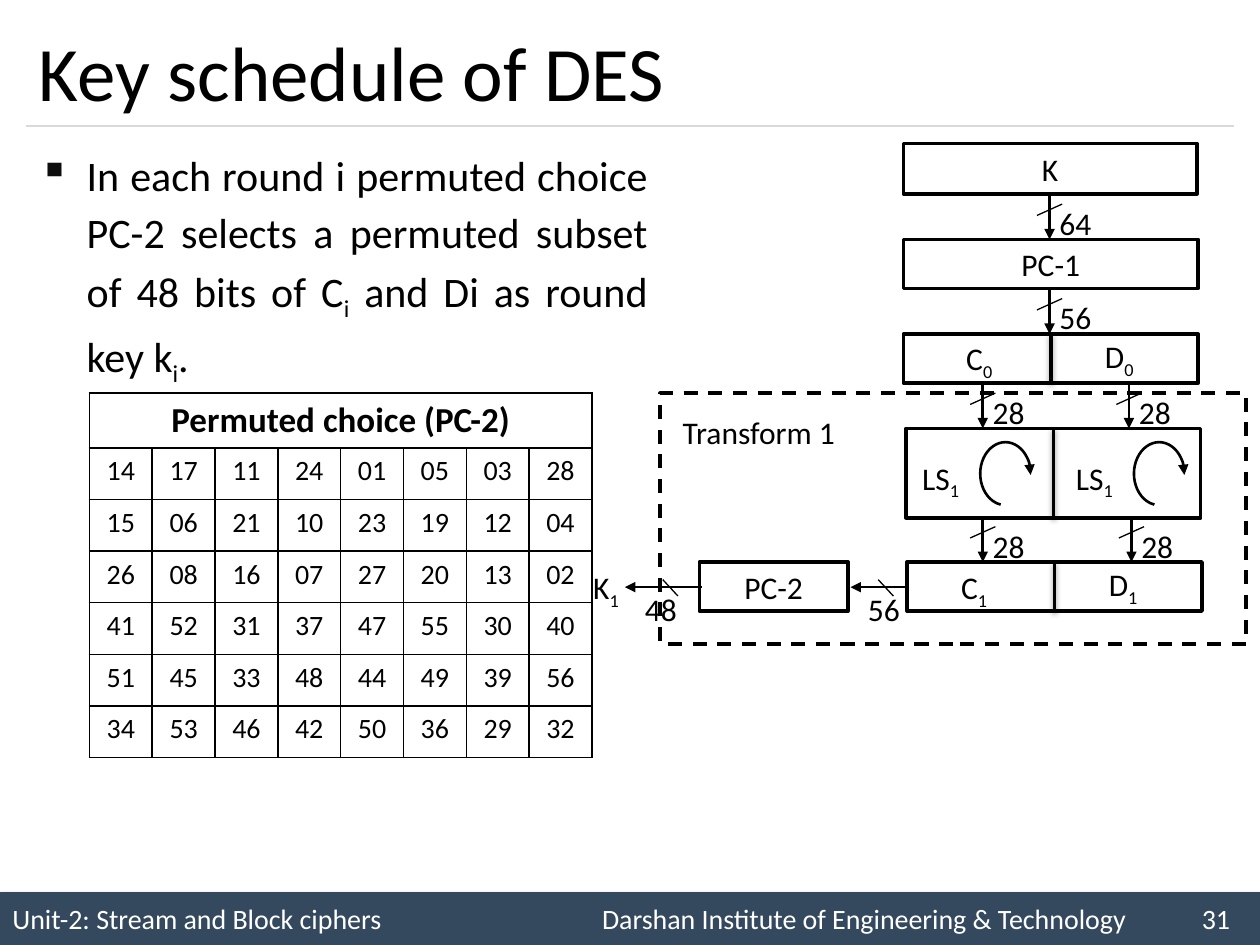
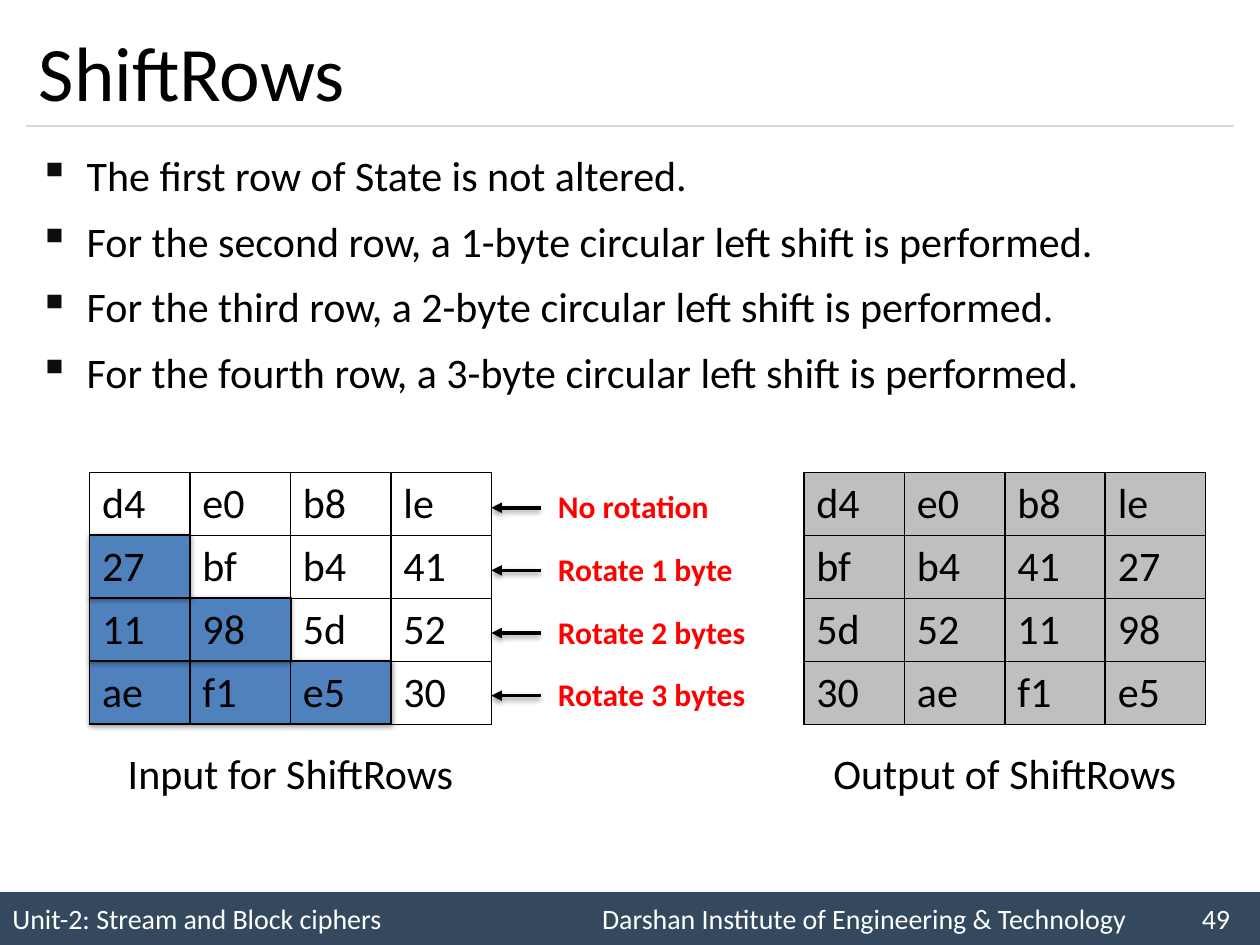
import pptx
import pptx.util
import pptx.dml.color
import pptx.enum.dml
import pptx.enum.shapes
import pptx.enum.text
import pptx.oxml
import pptx.oxml.ns
import lxml.etree

RGBColor = pptx.dml.color.RGBColor
BLACK = RGBColor(0x00, 0x00, 0x00)
WHITE = RGBColor(0xFF, 0xFF, 0xFF)
SLATE = RGBColor(0x34, 0x49, 0x5E)
RULE = RGBColor(0xD9, 0xD9, 0xD9)
BLUE = RGBColor(0x4F, 0x81, 0xBD)
GREY = RGBColor(0xBF, 0xBF, 0xBF)
RED = RGBColor(0xFF, 0x00, 0x00)

Pt = pptx.util.Pt
qn = pptx.oxml.ns.qn
add = lxml.etree.SubElement
ALIGN = pptx.enum.text.PP_ALIGN
MID = {"vertical_anchor": pptx.enum.text.MSO_ANCHOR.MIDDLE}
RECT = pptx.enum.shapes.MSO_SHAPE.RECTANGLE
ARC = pptx.enum.shapes.MSO_SHAPE.ARC
WRAP = {"word_wrap": True}
LEFT = {"alignment": ALIGN.LEFT}
CENTER = {"alignment": ALIGN.CENTER}
BODY = {"alignment": ALIGN.JUSTIFY, "line_spacing": 1.14}
NS = 'xmlns:a="http://schemas.openxmlformats.org/drawingml/2006/main"'
SHADE = (
    f'<a:outerShdw {NS} blurRad="39400" dist="20300" dir="5400000" rotWithShape="0">'
    '<a:srgbClr val="000000"><a:alpha val="38000"/></a:srgbClr></a:outerShdw>'
)

deck = pptx.Presentation()
deck.slide_width = pptx.util.Inches(10)
deck.slide_height = pptx.util.Inches(7.5)
COL = deck.slide_width / 100
ROW = deck.slide_height / 75


def put(sheet, box, text="", kind=None, fill=None, edge=2, ink=BLACK,
        font={}, para=LEFT, frame={}, soft=False):
    left, top, wide, high = box
    place = [round(n) for n in (left * COL, top * ROW, wide * COL, high * ROW)]
    if kind is None:
        shape = sheet.shapes.add_textbox(*place)
    else:
        shape = sheet.shapes.add_shape(kind, *place)
        shape.shadow.inherit = False
        if soft:
            glow = shape.element.spPr.find(qn("a:effectLst"))
            glow.append(pptx.oxml.parse_xml(SHADE))
        if fill is None:
            shape.fill.background()
        else:
            shape.fill.solid()
            shape.fill.fore_color.rgb = fill
        if edge:
            shape.line.color.rgb = BLACK
            shape.line.width = Pt(edge)
        else:
            shape.line.fill.background()
    for key, value in frame.items():
        setattr(shape.text_frame, key, value)
    for nth, words in enumerate(text.split("\n") if text else []):
        block = shape.text_frame.paragraphs[0] if nth == 0 else shape.text_frame.add_paragraph()
        for key, value in para.items():
            setattr(block, key, value)
        first, *rest = words.split("_")
        parts = [(first, 0)]
        for piece in rest:
            parts += [(piece[0], -25000), (piece[1:], 0)]
        for piece, base in parts:
            if piece:
                run = block.add_run()
                run.text = piece
                run.font.color.rgb = ink
                for key, value in {"name": "Calibri", "size": Pt(18), **font}.items():
                    setattr(run.font, key, value)
                if base:
                    run.font._element.set("baseline", str(base))
    return shape


def link(sheet, start, end, width=1.5, tint=BLACK, tip=False, soft=False):
    ends = [round(n) for x, y in (start, end) for n in (x * COL, y * ROW)]
    line = sheet.shapes.add_connector(pptx.enum.shapes.MSO_CONNECTOR.STRAIGHT, *ends)
    line.line.color.rgb = tint
    line.line.width = Pt(width)
    trim = line.element.spPr
    if tip:
        add(trim.find(qn("a:ln")), qn("a:tailEnd"), type="triangle")
    glow = add(trim, qn("a:effectLst"))
    if soft:
        glow.append(pptx.oxml.parse_xml(SHADE))


PAGES = [
    ("Key schedule of DES", 31, 50.3,
     "In each round i permuted choice PC-2 selects a permuted subset of 48 bits of C_i"
     " and Di as round key k_i."),
    ("ShiftRows", 49, 95.8,
     "The first row of State is not altered.\n"
     "For the second row, a 1-byte circular left shift is performed.\n"
     "For the third row, a 2-byte circular left shift is performed.\n"
     "For the fourth row, a 3-byte circular left shift is performed."),
]
sheets = []
for title, page, wide, points in PAGES:
    sheet = deck.slides.add_slide(deck.slide_layouts[6])
    sheets.append(sheet)
    foot = put(sheet, (0, 70.8, 100, 4.2),
               f"Unit-2: Stream and Block ciphers\tDarshan Institute of Engineering & Technology\t{page}",
               RECT, SLATE, 0, WHITE, {"size": Pt(16)}, frame=MID, soft=True)
    tabs = add(foot.text_frame.paragraphs[0]._p.get_or_add_pPr(), qn("a:tabLst"))
    for stop in (46.8, 94.4):
        add(tabs, qn("a:tab"), pos=str(round(stop * COL)), algn="l")
    link(sheet, (2.1, 10), (97.9, 10), 0.75, RULE)
    put(sheet, (2.1, 1.2, 95.8, 8.8), title, font={"size": Pt(44)}, frame={**WRAP, **MID})
    body = put(sheet, (2.1, 10.8, wide, 58.3), points, font={"size": Pt(24)}, para=BODY, frame=WRAP)
    for nth, block in enumerate(body.text_frame.paragraphs):
        if nth:
            block.space_before = Pt(4.8)
        style = block._p.get_or_add_pPr()
        style.set("marL", str(round(3.8 * COL)))
        style.set("indent", str(round(-3.8 * COL)))
        add(add(style, qn("a:buClr")), qn("a:srgbClr"), val="0D0D0D")
        add(style, qn("a:buChar"), char="▪")

keys, shift = sheets

for step in (3, 2, 1):
    put(shift, (7.1, 37.4 + 5 * step, 8 * step, 5), kind=RECT, fill=BLUE, edge=0.75, soft=True)

CHOICE = """Permuted choice (PC-2)
14 17 11 24 01 05 03 28
15 06 21 10 23 19 12 04
26 08 16 07 27 20 13 02
41 52 31 37 47 55 30 40
51 45 33 48 44 49 39 56
34 53 46 42 50 36 29 32"""
STATE = "d4 e0 b8 le\n27 bf b4 41\n11 98 5d 52\nae f1 e5 30"
MOVED = "d4 e0 b8 le\nbf b4 41 27\n5d 52 11 98\n30 ae f1 e5"
TABLES = [
    (keys, (7.1, 31.2, 39.9, 28.7), CHOICE, 16, ALIGN.CENTER, None),
    (shift, (7.1, 37.5, 31.9, 20), STATE, 24, ALIGN.LEFT, None),
    (shift, (63.8, 37.5, 31.9, 20), MOVED, 24, ALIGN.LEFT, GREY),
]
for sheet, (left, top, wide, high), data, size, side, fill in TABLES:
    rows = [line.split() for line in data.split("\n")]
    if data == CHOICE:
        rows[0] = [data.split("\n")[0]] + [""] * 7
    place = [round(n) for n in (left * COL, top * ROW, wide * COL, high * ROW)]
    grid = sheet.shapes.add_table(len(rows), len(rows[0]), *place).table
    grid.first_row = grid.horz_banding = False
    if data == CHOICE:
        grid.cell(0, 0).merge(grid.cell(0, 7))
    for r, row in enumerate(rows):
        for c, word in enumerate(row):
            cell = grid.cell(r, c)
            for edge in ("a:lnL", "a:lnR", "a:lnT", "a:lnB"):
                line = add(cell._tc.get_or_add_tcPr(), qn(edge), w=str(Pt(1)))
                add(add(line, qn("a:solidFill")), qn("a:srgbClr"), val=str(BLACK))
            if fill is None:
                cell.fill.background()
            else:
                cell.fill.solid()
                cell.fill.fore_color.rgb = fill
            if word:
                block = cell.text_frame.paragraphs[0]
                block.alignment = side
                run = block.add_run()
                run.text = word
                run.font.color.rgb = BLACK
                head = data == CHOICE and r == 0
                form = {"name": "Calibri", "size": Pt(20 if head else size), "bold": head}
                for key, value in form.items():
                    setattr(run.font, key, value)

zone = put(keys, (52.4, 31.2, 46.5, 19.9), kind=RECT, fill=WHITE)
zone.line.dash_style = pptx.enum.dml.MSO_LINE.DASH
for box, text in [
    ((71.7, 11.4, 23.3, 4), "K"),
    ((71.7, 19, 23.4, 3.9), "PC-1"),
    ((55.5, 44.6, 11.8, 3.9), "PC-2"),
]:
    put(keys, box, text, RECT, WHITE, para=CENTER, frame=MID)

for left, top, high, text in [(71.7, 26.5, 3.9, "D_0"), (71.9, 34, 7.1, ""), (72, 44.6, 3.9, "D_1")]:
    put(keys, (left, top, 23.4, high), text, RECT, WHITE,
        frame={**MID, "margin_left": round(16 * COL)})
    half = left + 11.7
    link(keys, (half, top), (half, top + high), 2, soft=True)

for left in (72.2, 84.4):
    put(keys, (left, 35.9, 5.7, 4), "LS_1")
    turn = put(keys, (left + 5.6, 35.1, 4, 5), kind=ARC, edge=1.5)
    turn.adjustments[0] = 59.25
    turn.adjustments[1] = 1.8
    add(turn.element.spPr.find(qn("a:ln")), qn("a:tailEnd"), type="triangle")

for x, y, bits in [(83.3, 15.4, "64"), (83.3, 22.9, "56"), (78, 30.4, "28"),
                   (89.6, 30.4, "28"), (78, 41, "28"), (89.8, 41, "28")]:
    link(keys, (x, y), (x, y + 3.6), tip=True)
    link(keys, (x - 1, y + 1.7), (x + 1, y + 0.8), 0.75)
    put(keys, (x - 0.2, y + 0.3, 4.6, 4), bits)

for start, end, tick, left, bits in [(72, 67.5, 69.7, 67.9, "56"), (55.7, 49.6, 52.6, 50.2, "48")]:
    link(keys, (start, 46.6), (end, 46.6), tip=True)
    link(keys, (tick, 46), (tick + 1.2, 47.3), 0.75)
    put(keys, (left, 46.3, 4.6, 4), bits)

for left, top, wide, text in [(75.7, 26.4, 4.2, "C_0"), (75.3, 44.6, 4.2, "C_1"),
                              (46.1, 44.6, 4.2, "K_1"), (53.2, 32.3, 14.2, "Transform 1")]:
    put(keys, (left, top, wide, 4), text)

NOTES = [("No rotation", 14.1), ("Rotate 1 byte", 16), ("Rotate 2 bytes", 17), ("Rotate 3 bytes", 17)]
for nth, (text, wide) in enumerate(NOTES):
    y = 40.3 + 4.97 * nth
    link(shift, (42.9, y), (39, y), 2, tip=True, soft=True)
    put(shift, (43.3, y - 2.1, wide, 4), text, ink=RED, font={"bold": True})

for left, text in [(7.1, "Input for ShiftRows"), (63.8, "Output of ShiftRows")]:
    put(shift, (left, 58.8, 31.9, 5), text, font={"size": Pt(24)}, para=CENTER, frame=WRAP)

deck.save("out.pptx")
